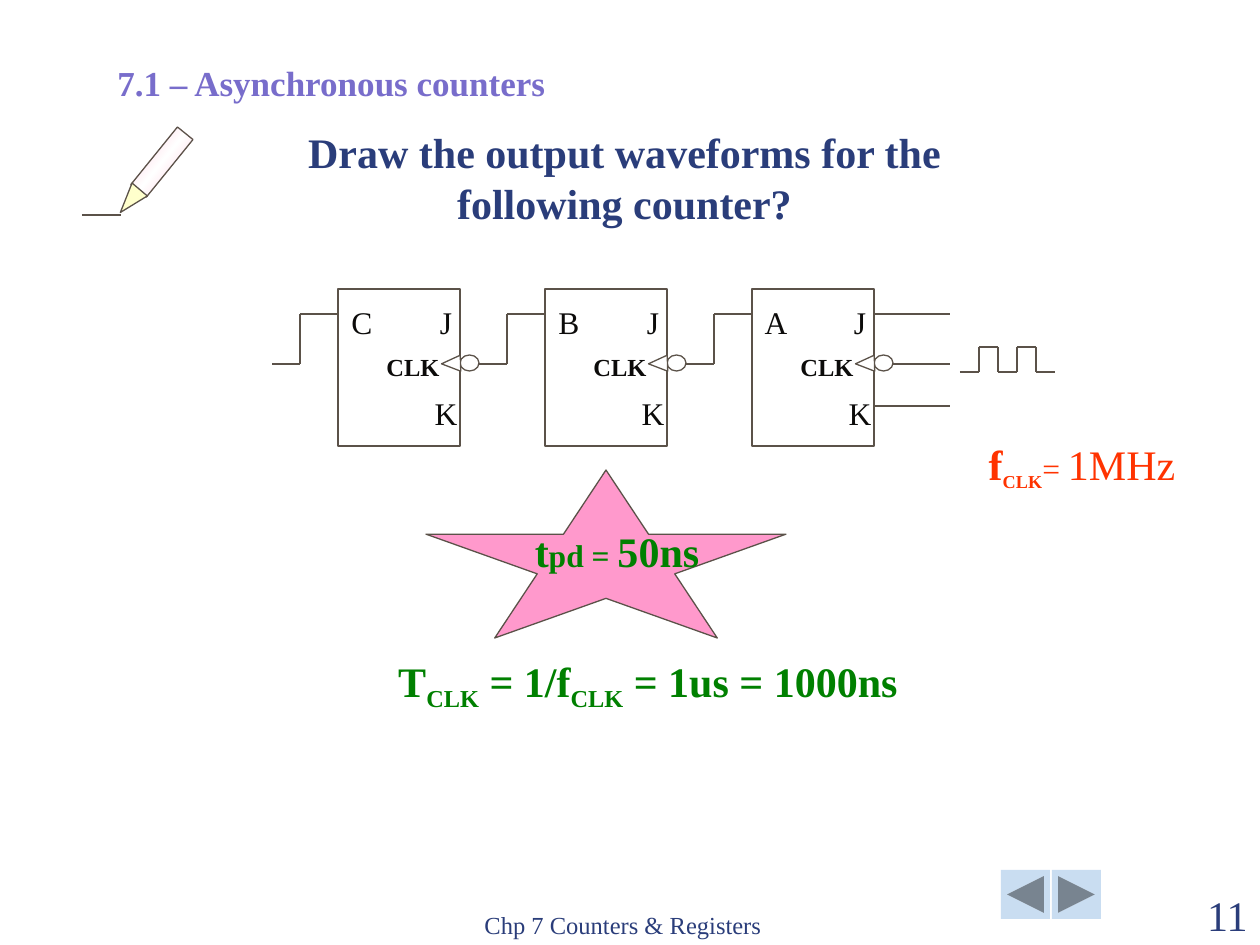
from copy import deepcopy
from itertools import pairwise

from lxml.etree import SubElement
from pptx import Presentation
from pptx.dml.color import RGBColor
from pptx.enum.shapes import MSO_CONNECTOR, MSO_SHAPE
from pptx.enum.text import MSO_ANCHOR, MSO_AUTO_SIZE, PP_ALIGN
from pptx.oxml.ns import qn
from pptx.util import Emu, Inches, Pt

FONT = "Times New Roman"
NAVY, LINE, INK, GREEN, RED = "2A3D7A", "5B5249", "0C0B0A", "008000", "FF3300"
STAGE_PITCH = 207


def px(value):
    return Emu(round(value * 914400 / 126))


def color(value):
    return RGBColor.from_string(value)


def write(shape, runs, hue, align=PP_ALIGN.CENTER, anchor=MSO_ANCHOR.TOP):
    """Each run is (text, size, bold) with an optional baseline percentage."""
    frame = shape.text_frame
    frame.word_wrap = True
    frame.auto_size = MSO_AUTO_SIZE.NONE
    frame.vertical_anchor = anchor
    paragraph = frame.paragraphs[0]
    paragraph.alignment = align
    for text, size, bold, *baseline in runs:
        run = paragraph.add_run()
        run.text = text
        formats = {"name": FONT, "size": Pt(size), "bold": bold}
        for name, value in formats.items():
            setattr(run.font, name, value)
        run.font.color.rgb = color(hue)
        if baseline:
            run._r.get_or_add_rPr().set("baseline", str(baseline[0] * 1000))


def add_text(slide, box, runs, hue, **layout):
    write(slide.shapes.add_textbox(*map(px, box)), runs, hue, **layout)


def add_shape(slide, kind, box, fill="FFFFFF", line=LINE, rotation=0):
    shape = slide.shapes.add_shape(kind, *map(px, box))
    shape.shadow.inherit = False
    shape.rotation = rotation
    shape.fill.solid()
    shape.fill.fore_color.rgb = color(fill)
    if line:
        shape.line.color.rgb = color(line)
        shape.line.width = Pt(0.75)
    else:
        shape.line.fill.background()
    return shape


def add_wire(slide, points, width=0.75):
    for start, end in pairwise(points):
        wire = slide.shapes.add_connector(
            MSO_CONNECTOR.STRAIGHT, *map(px, (*start, *end)))
        wire.line.color.rgb = color(LINE)
        wire.line.width = Pt(width)
        SubElement(wire._element.spPr, qn("a:effectLst"))


def add_flip_flop(slide, name, left, top):
    # Body, clock bubble and clock triangle
    add_shape(slide, MSO_SHAPE.RECTANGLE, (left, top, 122, 157))
    add_shape(slide, MSO_SHAPE.OVAL, (left + 122, top + 66, 19, 16))
    add_shape(slide, MSO_SHAPE.ISOSCELES_TRIANGLE,
              (left + 105, top + 65, 16, 19), rotation=268.1)
    # Pin labels
    for text, x, y in ((name, 0, 8), ("J", 84, 8), ("K", 84, 99)):
        add_text(slide, (left + x, top + y, 48, 50), [(text, 18, False)], INK)
    add_text(slide, (left + 28, top + 57, 94, 42), [("CLK", 14, True)], INK)
    # Output wire to the next clock
    add_wire(slide, [(left, top + 25), (left - 38, top + 25),
                     (left - 38, top + 75), (left - 66, top + 75)])


def add_counter(slide, left, top):
    for index, name in enumerate("CBA"):
        add_flip_flop(slide, name, left + index * STAGE_PITCH, top)
    # Input wires of the last stage
    edge = left + 2 * STAGE_PITCH + 122
    for start, y in ((edge, 25), (edge + 19, 75), (edge, 117)):
        add_wire(slide, [(start, top + y), (edge + 76, top + y)])


def add_clock_pulses(slide, left, top, step, height):
    points = []
    for index in range(5):
        level = top if index % 2 else top + height
        points += [(left + index * step, level), (left + (index + 1) * step, level)]
    add_wire(slide, points, 1.5)


def add_pencil(slide, left, top):
    body = add_shape(slide, MSO_SHAPE.RECTANGLE,
                     (left + 43, top + 25, 74, 20), rotation=309)
    # Three-stop gradient across the body
    body.fill.gradient()
    body.fill.gradient_angle = 90
    stop_list = body._element.spPr.find(".//" + qn("a:gsLst"))
    stop_list.append(deepcopy(stop_list[0]))
    stops = ((0, "FFC2D9"), (0.5, "FFFFFF"), (1, "FFC2D9"))
    for stop, (position, hue) in zip(body.fill.gradient_stops, stops):
        stop.position = position
        stop.color.rgb = color(hue)
    # Tip and drawn line
    add_shape(slide, MSO_SHAPE.ISOSCELES_TRIANGLE,
              (left + 38, top + 59, 20, 30), "FFFFCC", rotation=220.1)
    add_wire(slide, [(left, top + 88), (left + 39, top + 88)])


def add_footer(slide, left, top):
    buttons = (MSO_SHAPE.ACTION_BUTTON_BACK_OR_PREVIOUS,
               MSO_SHAPE.ACTION_BUTTON_FORWARD_OR_NEXT)
    for index, kind in enumerate(buttons):
        add_shape(slide, kind, (left + 529 + index * 51, top - 13, 49, 49),
                  "C9DDF1", None)
    add_text(slide, (left, top, 400, 63), [("Chp 7 Counters & Registers", 14, False)],
             NAVY, align=PP_ALIGN.LEFT, anchor=MSO_ANCHOR.BOTTOM)
    add_text(slide, (left + 662, top, 126, 63), [("11", 24, False)],
             NAVY, align=PP_ALIGN.RIGHT, anchor=MSO_ANCHOR.BOTTOM)


def add_title(slide, box):
    title = slide.shapes.title
    title.left, title.top, title.width, title.height = map(px, box)
    write(title, [("Draw the output waveforms for the following counter?", 24, True)],
          NAVY, anchor=MSO_ANCHOR.BOTTOM)


def add_timing_notes(slide):
    add_text(slide, (963, 432, 238, 63),
             [("f", 24, True), ("CLK", 18, True, -25), ("= ", 18, False),
              ("1MHz", 24, False)], RED)
    add_text(slide, (498, 519, 238, 63),
             [("t", 24, True), ("pd = ", 18, True), ("50ns", 24, True)], GREEN)
    add_text(slide, (288, 649, 720, 63),
             [("T", 24, True), ("CLK", 24, True, -25), (" = 1/f", 24, True),
              ("CLK", 24, True, -25), (" = 1us = 1000ns", 24, True)], GREEN)


def main():
    presentation = Presentation()
    presentation.slide_width, presentation.slide_height = Inches(10), Inches(7.5)
    slide = presentation.slides.add_slide(presentation.slide_layouts[5])
    add_footer(slide, 472, 883)
    add_shape(slide, MSO_SHAPE.STAR_5_POINT, (426, 470, 360, 168), "FF99CC")
    add_title(slide, (217, 121, 815, 113))
    add_clock_pulses(slide, 960, 347, 19, 25)
    add_counter(slide, 338, 289)
    add_pencil(slide, 82, 127)
    add_text(slide, (105, 55, 507, 54), [("7.1 – Asynchronous counters", 20, True)],
             "786DCB", align=PP_ALIGN.LEFT)
    add_timing_notes(slide)
    presentation.save("out.pptx")


if __name__ == "__main__":
    main()
